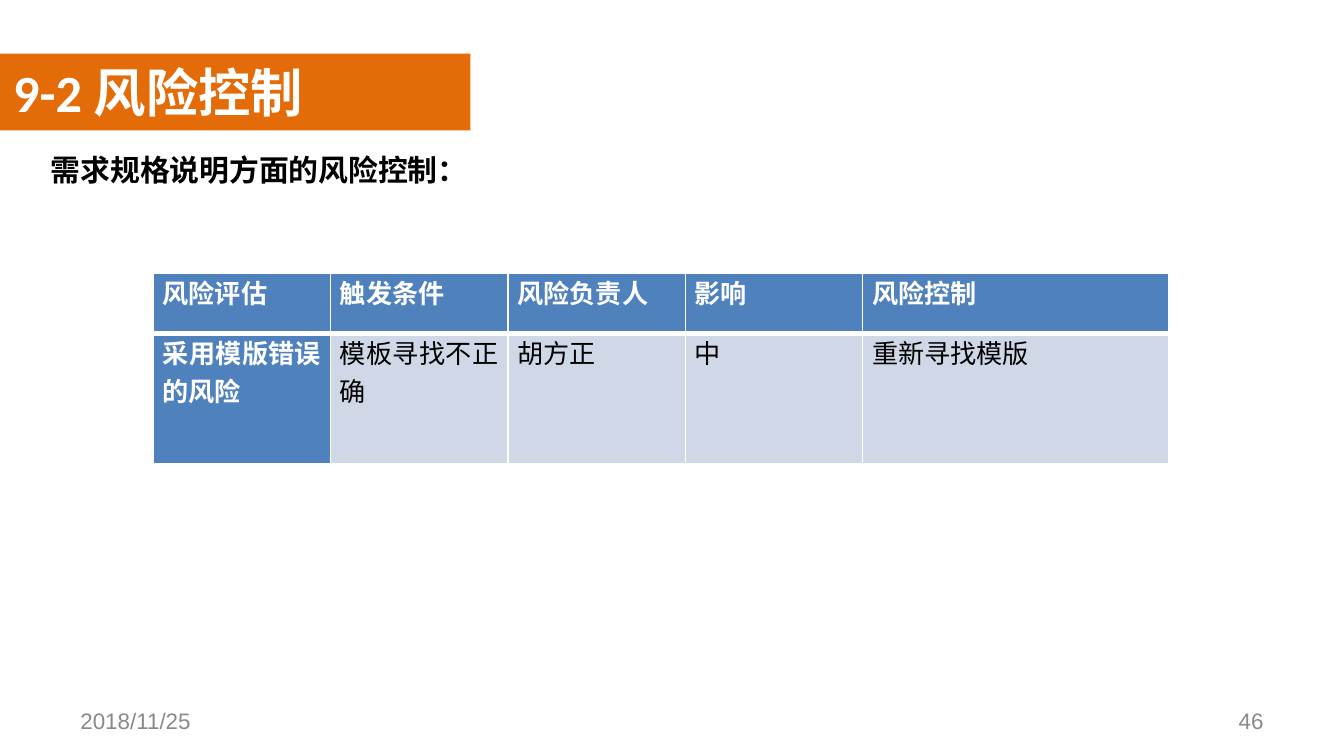
from dataclasses import dataclass

from lxml.etree import SubElement
from pptx import Presentation
from pptx.dml.color import RGBColor
from pptx.enum.shapes import MSO_SHAPE
from pptx.enum.text import MSO_ANCHOR, PP_ALIGN
from pptx.oxml.ns import qn
from pptx.util import Inches, Pt

WHITE, BLACK, GREY = "FFFFFF", "000000", "898989"
ORANGE, BLUE, PALE_BLUE = "E36C09", "4F81BD", "D0D8E8"


@dataclass(frozen=True)
class Box:
    left: float
    top: float
    width: float
    height: float

    def lengths(self) -> tuple:
        return tuple(Inches(n) for n in (self.left, self.top, self.width, self.height))


@dataclass(frozen=True)
class TextStyle:
    size: int
    color: str
    bold: bool = False
    font: str = "Arial"
    align: PP_ALIGN = PP_ALIGN.LEFT
    anchor: MSO_ANCHOR = MSO_ANCHOR.TOP


@dataclass(frozen=True)
class Label:
    box: Box
    text: str
    style: TextStyle


TITLE_BOX = Box(0, 0.4, 3.5, 0.57)
LABELS = [
    Label(TITLE_BOX, "9-2 风险控制", TextStyle(28, WHITE, True, "Calibri")),
    Label(Box(0.5, 5.21, 2.33, 0.3), "2018/11/25",
          TextStyle(12, GREY, anchor=MSO_ANCHOR.MIDDLE)),
    Label(Box(7.17, 5.21, 2.33, 0.3), "46",
          TextStyle(12, GREY, align=PP_ALIGN.RIGHT, anchor=MSO_ANCHOR.MIDDLE)),
    Label(Box(0.28, 1.08, 4.8, 0.37), "需求规格说明方面的风险控制：",
          TextStyle(16, BLACK, True)),
]

TABLE_BOX = Box(1.14, 2.03, 7.56, 1.42)
COLUMN_WIDTHS = [1.32] * 4 + [2.28]
ROW_HEIGHTS = [0.45, 0.97]
RISKS = [
    ["风险评估", "触发条件", "风险负责人", "影响", "风险控制"],
    ["采用模版错误的风险", "模板寻找不正确", "胡方正", "中", "重新寻找模版"],
]
HEADING = TextStyle(14, WHITE, True, align=PP_ALIGN.JUSTIFY)
BODY = TextStyle(14, BLACK, align=PP_ALIGN.JUSTIFY)


def rgb(color: str) -> RGBColor:
    return RGBColor.from_string(color)


def write(text_frame, text: str, style: TextStyle) -> None:
    paragraph = text_frame.paragraphs[0]
    paragraph.alignment = style.align
    run = paragraph.add_run()
    run.text = text
    run.font.name = style.font
    run.font.size = Pt(style.size)
    run.font.bold = style.bold
    run.font.color.rgb = rgb(style.color)


def add_rectangle(slide, box: Box, color: str, opacity: int = 100) -> None:
    shape = slide.shapes.add_shape(MSO_SHAPE.RECTANGLE, *box.lengths())
    shape.shadow.inherit = False
    shape.fill.solid()
    shape.fill.fore_color.rgb = rgb(color)
    shape.line.fill.background()
    if opacity < 100:
        fill_color = shape.element.spPr.find(qn("a:solidFill"))[0]
        SubElement(fill_color, qn("a:alpha"), val=str(opacity * 1000))


def add_label(slide, label: Label) -> None:
    text_frame = slide.shapes.add_textbox(*label.box.lengths()).text_frame
    text_frame.word_wrap = True
    text_frame.vertical_anchor = label.style.anchor
    write(text_frame, label.text, label.style)


def set_borders(cell, top_width: int, bottom_width: int) -> None:
    """Draw white borders, placed before the fill as the schema requires."""
    properties = cell._tc.get_or_add_tcPr()
    widths = {"a:lnL": 1, "a:lnR": 1, "a:lnT": top_width, "a:lnB": bottom_width}
    for position, (side, width) in enumerate(widths.items()):
        line = SubElement(properties, qn(side), w=str(Pt(width)))
        fill = SubElement(line, qn("a:solidFill"))
        SubElement(fill, qn("a:srgbClr"), val=WHITE)
        properties.insert(position, line)


def add_risk_table(slide) -> None:
    table = slide.shapes.add_table(
        len(RISKS), len(COLUMN_WIDTHS), *TABLE_BOX.lengths()).table
    for column, width in zip(table.columns, COLUMN_WIDTHS):
        column.width = Inches(width)
    for row_index, (row, height) in enumerate(zip(table.rows, ROW_HEIGHTS)):
        row.height = Inches(height)
        top_width, bottom_width = (1, 3) if row_index == 0 else (3, 1)
        for column_index, cell in enumerate(row.cells):
            is_heading = row_index == 0 or column_index == 0
            cell.margin_left = cell.margin_right = Inches(0.07)
            cell.margin_top = cell.margin_bottom = Inches(0)
            cell.fill.solid()
            cell.fill.fore_color.rgb = rgb(BLUE if is_heading else PALE_BLUE)
            set_borders(cell, top_width, bottom_width)
            write(cell.text_frame, RISKS[row_index][column_index],
                  HEADING if is_heading else BODY)


def main() -> None:
    presentation = Presentation()
    presentation.slide_width = Inches(10)
    presentation.slide_height = presentation.slide_width * 9 // 16
    slide = presentation.slides.add_slide(presentation.slide_layouts[6])
    add_rectangle(slide, Box(0, 0.69, 10, 4.49), WHITE, opacity=50)
    add_rectangle(slide, TITLE_BOX, ORANGE)
    for label in LABELS:
        add_label(slide, label)
    add_risk_table(slide)
    presentation.save("out.pptx")


if __name__ == "__main__":
    main()
